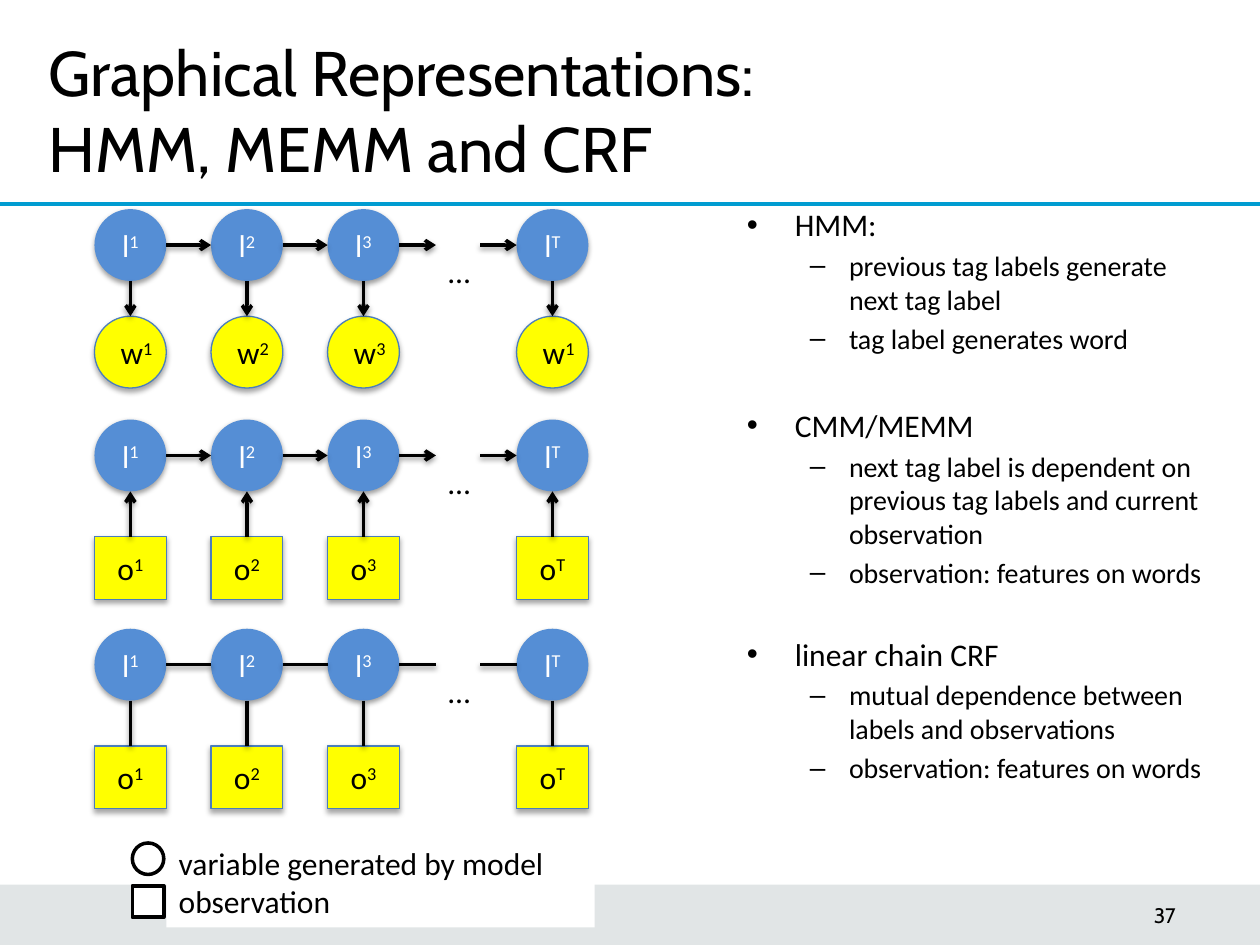
import pptx
import pptx.dml.color
import pptx.enum.shapes
import pptx.enum.text
import pptx.oxml
import pptx.oxml.ns
import pptx.util
import lxml.etree

RGBColor = pptx.dml.color.RGBColor
Shape = pptx.enum.shapes.MSO_SHAPE
Align = pptx.enum.text.PP_ALIGN
Anchor = pptx.enum.text.MSO_ANCHOR
Pt = pptx.util.Pt
qn = pptx.oxml.ns.qn

BLACK = RGBColor(0x00, 0x00, 0x00)
WHITE = RGBColor(0xFF, 0xFF, 0xFF)
SLATE = RGBColor(0x3B, 0x51, 0x5B)
CYAN = RGBColor(0x00, 0x9C, 0xD1)
BLUE = RGBColor(0x55, 0x8E, 0xD5)
EDGE = RGBColor(0x4B, 0x7E, 0xBC)
YELLOW = RGBColor(0xFF, 0xFF, 0x00)


class Canvas:
    COLUMNS, ROWS = 100, 75
    HEADING_FONT, BODY_FONT = "Cabin", "Calibri"

    def __init__(self, deck):
        self.page = deck.slides.add_slide(deck.slide_layouts[6])
        self.column = deck.slide_width / self.COLUMNS
        self.row = deck.slide_height / self.ROWS

    def place(self, *lengths):
        units = (self.column, self.row) * 2
        return [round(length * unit) for length, unit in zip(lengths, units)]

    def span(self, para, text, size=18, color=BLACK, font=BODY_FONT, raised=False):
        span = para.add_run()
        span.text = text
        span.font.size = Pt(size)
        span.font.name = font
        span.font.color.rgb = color
        if raised:
            span._r.get_or_add_rPr().set("baseline", "30000")

    def shadow(self, properties, opacity, distance):
        effects = properties.find(qn("a:effectLst"))
        if effects is None:
            effects = lxml.etree.SubElement(properties, qn("a:effectLst"))
        outer = lxml.etree.SubElement(
            effects, qn("a:outerShdw"), blurRad=str(Pt(3.1)),
            dist=str(Pt(distance)), dir="5400000", rotWithShape="0")
        black = lxml.etree.SubElement(outer, qn("a:srgbClr"), val=str(BLACK))
        lxml.etree.SubElement(black, qn("a:alpha"), val=str(opacity * 1000))

    def shape(self, kind, area, fill, edge=None, weight=0.75, opacity=100):
        box = self.page.shapes.add_shape(kind, *self.place(*area))
        box.shadow.inherit = False
        box.fill.solid()
        box.fill.fore_color.rgb = fill
        if opacity < 100:
            color = box.fill._xPr.find(".//" + qn("a:srgbClr"))
            lxml.etree.SubElement(color, qn("a:alpha"), val=str(opacity * 1000))
        if edge is None:
            box.line.fill.background()
        else:
            box.line.color.rgb = edge
            box.line.width = Pt(weight)
        return box

    def node(self, kind, area, letter, index, fill, color, edge=None, inset=0.1):
        box = self.shape(kind, area, fill, edge)
        self.shadow(box._element.spPr, 35 if edge else 38, 1.8 if edge else 1.6)
        frame = box.text_frame
        frame.margin_right = pptx.util.Inches(inset)
        frame.vertical_anchor = Anchor.MIDDLE
        para = frame.paragraphs[0]
        para.alignment = Align.CENTER
        self.span(para, letter, color=color)
        self.span(para, index, color=color, raised=True)

    def line(self, start, end, color=BLACK, arrow=False, shadow=True):
        link = self.page.shapes.add_connector(
            pptx.enum.shapes.MSO_CONNECTOR.STRAIGHT, *self.place(*start, *end))
        link.line.color.rgb = color
        link.line.width = Pt(2)
        if arrow:
            lxml.etree.SubElement(link.line._get_or_add_ln(), qn("a:tailEnd"), type="arrow")
        if shadow:
            self.shadow(link._element.spPr, 38, 1.6)
        else:
            lxml.etree.SubElement(link._element.spPr, qn("a:effectLst"))

    def text(self, area, lines, align=Align.LEFT, anchor=Anchor.TOP, wrap=True, fill=None, **style):
        box = self.page.shapes.add_textbox(*self.place(*area))
        if fill is not None:
            box.fill.solid()
            box.fill.fore_color.rgb = fill
        frame = box.text_frame
        frame.word_wrap = wrap
        frame.vertical_anchor = anchor
        for number, line in enumerate(lines):
            para = frame.add_paragraph() if number else frame.paragraphs[0]
            para.alignment = align
            self.span(para, line, **style)
        return frame

    def outline(self, area, sections):
        frame = self.text(area, [])
        para = frame.paragraphs[0]
        for gap, heading, points in sections:
            entries = [(heading, 18, gap, "•", 0.38, 0.38)]
            entries += [(point, 16, 3.2, "–", 0.81, 0.31) for point in points]
            for text, size, before, mark, margin, hanging in entries:
                if para is None:
                    para = frame.add_paragraph()
                para.space_before = Pt(before)
                properties = para._p.get_or_add_pPr()
                properties.set("marL", str(pptx.util.Inches(margin)))
                properties.set("indent", str(-pptx.util.Inches(hanging)))
                lxml.etree.SubElement(properties, qn("a:buFont"), typeface="Arial")
                lxml.etree.SubElement(properties, qn("a:buChar"), char=mark)
                self.span(para, text, size)
                para = None

    def chain(self, top, kind, letter, indices, offset, height, inset, flow):
        size, lefts = 5.7, (7.5, 16.75, 26, 41)
        for left, label, index in zip(lefts, "123T", indices):
            middle = left + size / 2
            self.node(Shape.OVAL, (left, top, size, size), "l", label, BLUE, WHITE)
            self.node(kind, (left, top + offset, size, height), letter, index,
                      YELLOW, BLACK, EDGE, inset)
            ends = [(middle, top + size), (middle, top + offset)]
            if flow == "up":
                ends.reverse()
            self.line(*ends, arrow=flow is not None)
        level = top + size / 2
        starts = [left + size for left in lefts[:3]] + [38.1]
        stops = [*lefts[1:3], 34.6, lefts[3]]
        for start, stop in zip(starts, stops):
            self.line((start, level), (stop, level), arrow=flow is not None)
        self.text((34.6, top + 2.95, 4.3, 4), ["…"])


deck = pptx.Presentation()
deck.slide_width = pptx.util.Inches(10)
deck.slide_height = pptx.util.Inches(7.5)
canvas = Canvas(deck)

canvas.shape(Shape.RECTANGLE, (0, 70.2, 100, 4.8), SLATE, opacity=15)
canvas.line((0, 16.2), (100, 16.2), CYAN, shadow=False)
canvas.text((2.9, 2.2, 76.1, 9.2), ["Graphical Representations:", "HMM, MEMM and CRF"],
            size=36, font=Canvas.HEADING_FONT)
canvas.outline((58.3, 15.8, 38.9, 52.3), [
    (0, "HMM:", ["previous tag labels generate next tag label", "tag label generates word"]),
    (29, "CMM/MEMM", [
        "next tag label is dependent on previous tag labels and current observation",
        "observation: features on words"]),
    (26, "linear chain CRF", [
        "mutual dependence between labels and observations",
        "observation: features on words"]),
])

for model in (
    (16.6, Shape.OVAL, "w", "1231", 8.5, 5.7, 0, "down"),
    (33.3, Shape.RECTANGLE, "o", "123T", 9.3, 5, 0.1, "up"),
    (49.9, Shape.RECTANGLE, "o", "123T", 9.3, 5, 0.1, None),
):
    canvas.chain(*model)

for kind, top in ((Shape.OVAL, 66.9), (Shape.RECTANGLE, 70.3)):
    canvas.shape(kind, (10.5, top, 2.5, 2.5), WHITE, BLACK, 2)
canvas.text((13.2, 66.5, 34, 7.1), ["variable generated by model", "observation"],
            wrap=False, fill=WHITE)
canvas.text((73.5, 70.1, 20.8, 5), ["37"], Align.RIGHT, Anchor.MIDDLE,
            size=12, font=Canvas.HEADING_FONT)

deck.save("out.pptx")
